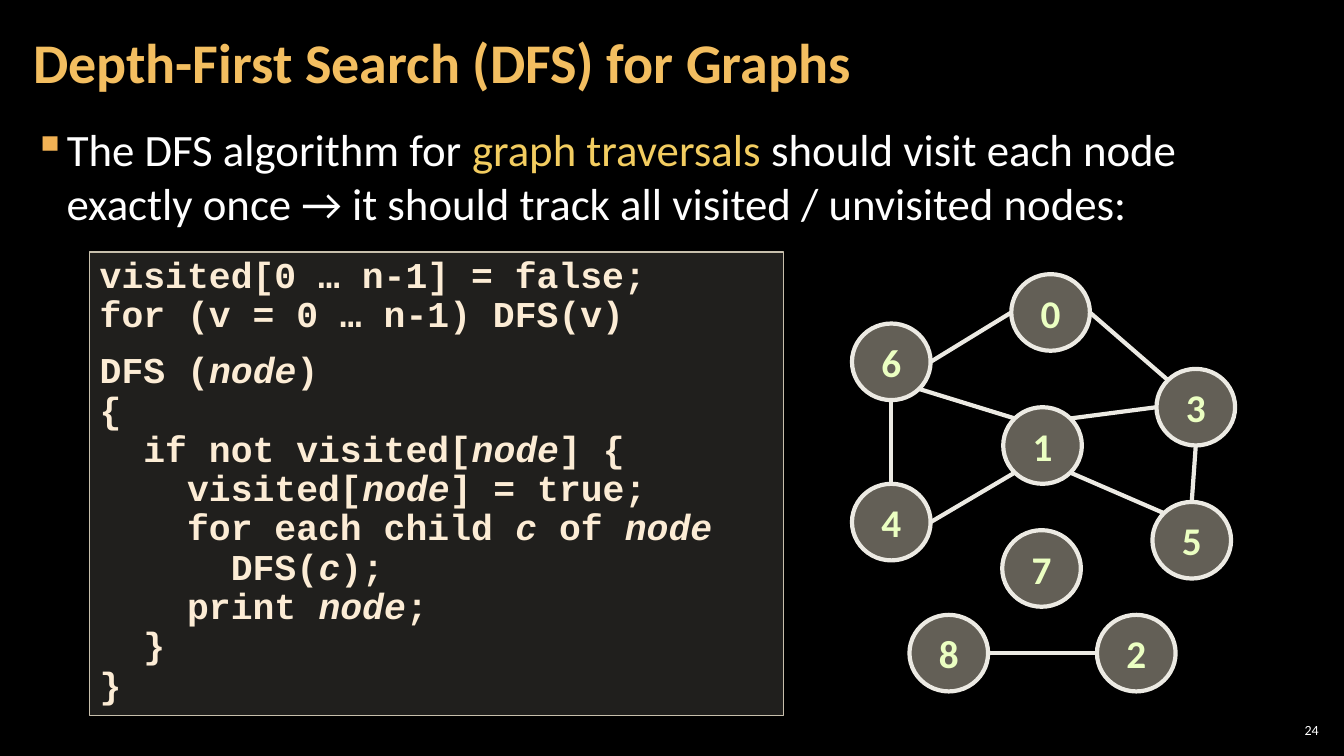
"""Builds the slide on depth-first search for graphs."""
import math

import lxml.etree
import pptx
import pptx.dml.color
import pptx.enum.shapes
import pptx.enum.text
import pptx.oxml.ns
import pptx.util

COLS, ROWS = 1333, 750
CELL = 0.01

TITLE = [("Depth-First Search (DFS) for Graphs", "F3BE60")]
POINT = [
    ("The DFS algorithm for ", "FFFFFF"),
    ("graph traversals ", "F3CD60"),
    ("should visit each node exactly once → it should track all visited / unvisited nodes:", "FFFFFF"),
]
NUMBER = [("24", "FFFFFF")]
CODE = [
    "visited[0 … n-1] = false;",
    "for (v = 0 … n-1) DFS(v)",
    "DFS (*node*)",
    "{",
    "  if not visited[*node*] {",
    "    visited[*node*] = true;",
    "    for each child *c* of *node*",
    "      DFS(*c*);",
    "    print *node*;",
    "  }",
    "}",
]
START = 2
NODES = {
    "0": (1003, 272), "6": (845, 321), "4": (845, 480),
    "1": (995, 404), "5": (1143, 498), "2": (1088, 610),
    "3": (1147, 366), "8": (902, 610), "7": (994, 526),
}
WIDE, HIGH = 78, 76
EDGES = [
    ("0", "W", "6", "E"), ("0", "E", "3", "NW"), ("3", "S", "5", "N"),
    ("6", "SE", "1", "NW"), ("6", "S", "4", "N"), ("3", "W", "1", "NE"),
    ("4", "E", "1", "SW"), ("1", "SE", "5", "NW"), ("8", "E", "2", "W"),
]
SIDES = ["E", "SE", "S", "SW", "W", "NW", "N", "NE"]
PALE = "ECEAE3"

ALIGN = pptx.enum.text.PP_ALIGN
ANCHOR = pptx.enum.text.MSO_ANCHOR
SHAPE = pptx.enum.shapes.MSO_SHAPE
LINK = pptx.enum.shapes.MSO_CONNECTOR
qn = pptx.oxml.ns.qn


def grid(*cells):
    return [pptx.util.Inches(cell * CELL) for cell in cells]


def color(code):
    return pptx.dml.color.RGBColor.from_string(code)


def stroke(line, code, width):
    line.color.rgb = color(code)
    line.width = pptx.util.Pt(width)


def write(para, text, code, size, face="Calibri", bold=False, slant=False):
    run = para.add_run()
    run.text = text
    font = run.font
    font.name, font.size = face, pptx.util.Pt(size)
    font.bold, font.italic = bold, slant
    font.color.rgb = color(code)


def setup(shape, pads, anchor):
    frame = shape.text_frame
    frame.word_wrap = True
    frame.vertical_anchor = anchor
    (frame.margin_left, frame.margin_top,
     frame.margin_right, frame.margin_bottom) = grid(*pads)
    return frame


def label(slide, place, runs, size, pad, anchor, bold=False):
    box = slide.shapes.add_textbox(*grid(*place))
    para = setup(box, (pad, 4, pad, 4), anchor).paragraphs[0]
    for text, code in runs:
        write(para, text, code, size, bold=bold)
    return para


def bullet(para, sign, code):
    props = para._p.get_or_add_pPr()
    inch = pptx.util.Inches(0.33)
    props.set("marL", str(inch))
    props.set("indent", str(-inch))
    tint = lxml.etree.SubElement(props, qn("a:buClr"))
    lxml.etree.SubElement(tint, qn("a:srgbClr")).set("val", code)
    lxml.etree.SubElement(props, qn("a:buChar")).set("char", sign)


def panel(slide, kind, place, fill, share, edge, width):
    shape = slide.shapes.add_shape(kind, *grid(*place))
    shape.shadow.inherit = False
    shape.fill.solid()
    shape.fill.fore_color.rgb = color(fill)
    tint = shape.fill._xPr.find(".//" + qn("a:srgbClr"))
    lxml.etree.SubElement(tint, qn("a:alpha")).set("val", str(share * 1000))
    stroke(shape.line, edge, width)
    return shape


def listing(slide):
    box = panel(slide, SHAPE.RECTANGLE, (89, 250, 688, 460), "D9D5C7", 15, "C7BFAC", 1)
    frame = setup(box, (10, 5, 10, 5), ANCHOR.TOP)
    for row, text in enumerate(CODE):
        para = frame.add_paragraph() if row else frame.paragraphs[0]
        para.alignment = ALIGN.LEFT
        para.line_spacing = 0.9
        if row == START:
            para.space_before = pptx.util.Pt(12)
        for turn, part in enumerate(text.split("*")):
            if part:
                write(para, part, "FCECD5", 26, "Courier New", True, turn % 2 == 1)


def rim(name, side):
    left, top = NODES[name]
    angle = SIDES.index(side) * math.pi / 4
    return (left + WIDE / 2 * (1 + math.cos(angle)),
            top + HIGH / 2 * (1 + math.sin(angle)))


def graph(slide):
    for name, spot in NODES.items():
        node = panel(slide, SHAPE.OVAL, (*spot, WIDE, HIGH), "C7BFAC", 50, PALE, 3)
        para = setup(node, (4, 5, 4, 5), ANCHOR.MIDDLE).paragraphs[0]
        para.alignment = ALIGN.CENTER
        write(para, name, "EBFFC2", 28, bold=True)
    for start, out, end, into in EDGES:
        ends = grid(*rim(start, out), *rim(end, into))
        edge = slide.shapes.add_connector(LINK.STRAIGHT, *ends)
        stroke(edge.line, PALE, 3)
        lxml.etree.SubElement(edge._element.spPr, qn("a:effectLst"))


def main():
    deck = pptx.Presentation()
    deck.slide_width, deck.slide_height = grid(COLS, ROWS)
    slide = deck.slides.add_slide(deck.slide_layouts[6])
    slide.background.fill.solid()
    slide.background.fill.fore_color.rgb = color("000000")
    page = label(slide, (1265, 714, 47, 21), NUMBER, 10, 4, ANCHOR.MIDDLE)
    page.alignment = ALIGN.RIGHT
    point = label(slide, (21, 117, 1291, 609), POINT, 32, 12, ANCHOR.TOP)
    point.space_after = pptx.util.Pt(6)
    bullet(point, "▪", "F2B254")
    title = label(slide, (21, 4, 1047, 121), TITLE, 40, 12, ANCHOR.MIDDLE, True)
    title.line_spacing = 0.9
    listing(slide)
    graph(slide)
    deck.save("out.pptx")


if __name__ == "__main__":
    main()
